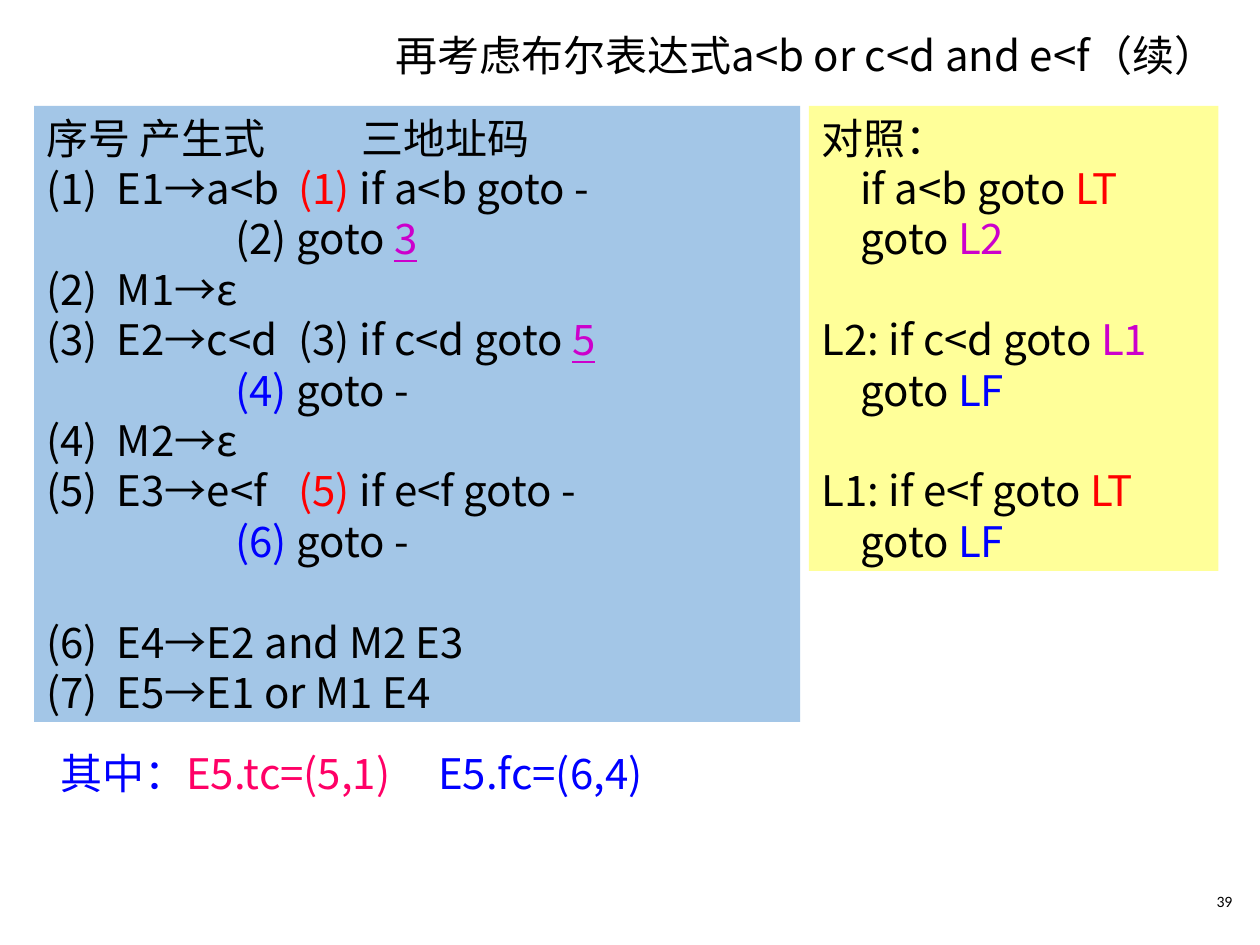
from lxml import etree
from pptx import Presentation
from pptx.dml.color import RGBColor
from pptx.enum.shapes import MSO_SHAPE
from pptx.enum.text import MSO_ANCHOR as Anchor, PP_ALIGN as Align
from pptx.oxml.ns import qn
from pptx.util import Inches, Pt

FONT = "Noto Sans CJK SC"
BLACK, RED, BLUE, PURPLE, PINK = "000000", "FF0000", "0000FF", "CC00CC", "FF0066"
LINE_PITCH = 28.8
CODE_INDENT = 0.31

CODE_LINES = [
    ["序号 产生式\t\t三地址码"],
    ["(1)  E1→a<b\t", ("(1) ", RED), "if a<b goto -"],
    ["\t\t\t(2) goto ", ("3", PURPLE, True)],
    ["(2)  M1→ε"],
    ["(3)  E2→c<d\t(3) if c<d goto ", ("5", PURPLE, True)],
    ["\t\t\t", ("(4) ", BLUE), "goto -"],
    ["(4)  M2→ε"],
    ["(5)  E3→e<f\t", ("(5) ", RED), "if e<f goto -"],
    ["\t\t\t", ("(6) ", BLUE), "goto -"],
    ["(6)  E4→E2 and M2 E3"],
    ["(7)  E5→E1 or M1 E4"],
]
LABEL_LINES = [
    ["对照："],
    ["if a<b goto ", ("LT", RED)],
    ["goto ", ("L2", PURPLE)],
    ["L2: if c<d goto ", ("L1", PURPLE)],
    ["goto ", ("LF", BLUE)],
    ["L1: if e<f goto", (" LT", RED)],
    ["goto ", ("LF", BLUE)],
]


def color(hex_code):
    return RGBColor.from_string(hex_code)


def write_lines(frame, lines, align=Align.LEFT, size=24, font=FONT, gaps=(), indents=()):
    frame.word_wrap = True
    for index, pieces in enumerate(lines):
        para = frame.paragraphs[0] if index == 0 else frame.add_paragraph()
        para.alignment = align
        para.font.size = Pt(size)
        para.font.name = font
        if index in gaps:
            para.space_before = Pt(LINE_PITCH)
        if index in indents:
            para._p.get_or_add_pPr().set("marL", str(Inches(CODE_INDENT)))
        for piece in pieces:
            text, ink, underline = piece, BLACK, None
            if isinstance(piece, tuple):
                text, ink, underline = (*piece, None)[:3]
            span = para.add_run()
            span.text = text
            span.font.size = Pt(size)
            span.font.name = font
            span.font.color.rgb = color(ink)
            span.font.underline = underline
            etree.SubElement(span.font._element, qn("a:ea"), typeface=font)


def add_text(page, box, lines, anchor=Anchor.TOP, **style):
    frame = page.shapes.add_textbox(*map(Inches, box)).text_frame
    frame.vertical_anchor = anchor
    write_lines(frame, lines, **style)
    return frame


def add_panel(page, box, lines, fill, opacity=100, **style):
    panel = page.shapes.add_shape(MSO_SHAPE.RECTANGLE, *map(Inches, box))
    panel.shadow.inherit = False
    panel.line.fill.background()
    panel.fill.solid()
    panel.fill.fore_color.rgb = color(fill)
    if opacity < 100:
        tint = panel._element.spPr.find(".//" + qn("a:srgbClr"))
        etree.SubElement(tint, qn("a:alpha"), val=str(opacity * 1000))
    panel.text_frame.vertical_anchor = Anchor.TOP
    write_lines(panel.text_frame, lines, **style)


def add_title(page, box):
    frame = add_text(page, box, [["再考虑布尔表达式a<b or c<d and e<f（续）"]],
                     anchor=Anchor.MIDDLE, align=Align.RIGHT)
    frame.paragraphs[0].line_spacing = 0.9


def add_result(page, box):
    add_text(page, box, [[("其中：", BLUE), ("E5.tc=(5,1)\t", PINK), ("E5.fc=(6,4)", BLUE)]])


def add_page_number(page, box):
    add_text(page, box, [["39"]], anchor=Anchor.MIDDLE, align=Align.RIGHT,
             size=9, font="Calibri")


def main():
    deck = Presentation()
    deck.slide_width, deck.slide_height = Inches(10), Inches(7.5)
    page = deck.slides.add_slide(deck.slide_layouts[6])
    add_title(page, (1.25, 0.17, 8.5, 0.58))
    add_page_number(page, (7.63, 6.95, 2.25, 0.4))
    add_panel(page, (6.42, 0.84, 3.25, 3.69), LABEL_LINES, "FFFF99",
              gaps=(3, 5), indents=(1, 2, 4, 6))
    add_panel(page, (0.27, 0.84, 6.08, 4.89), CODE_LINES, "5B9BD5", opacity=56, gaps=(9,))
    add_result(page, (0.38, 5.88, 7.69, 0.5))
    deck.save("out.pptx")


if __name__ == "__main__":
    main()
